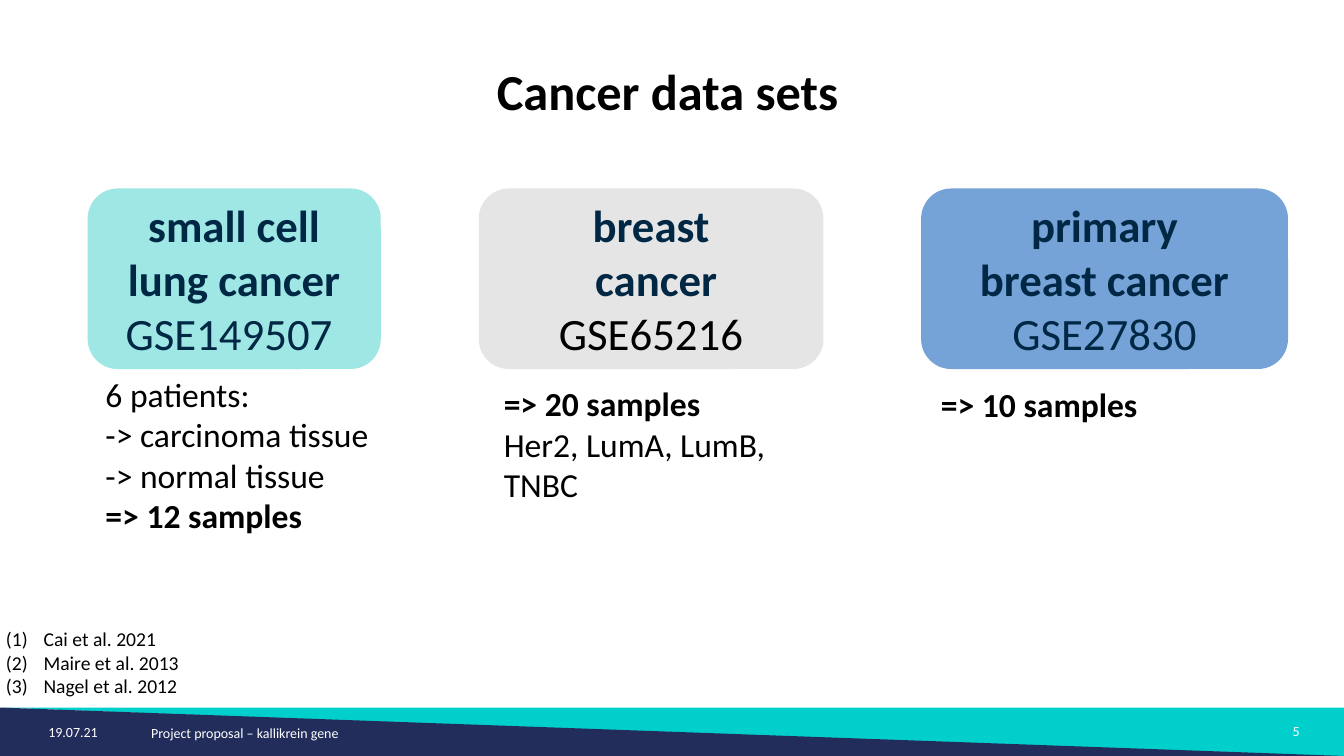
from dataclasses import dataclass

from lxml import etree
from pptx import Presentation
from pptx.dml.color import RGBColor
from pptx.enum.shapes import MSO_SHAPE
from pptx.enum.text import MSO_ANCHOR, PP_ALIGN
from pptx.oxml.ns import qn
from pptx.util import Cm, Pt

ROUNDED = MSO_SHAPE.ROUNDED_RECTANGLE
TRIANGLE = MSO_SHAPE.RIGHT_TRIANGLE
MIDDLE, TOP = MSO_ANCHOR.MIDDLE, MSO_ANCHOR.TOP
LEFT, CENTER = PP_ALIGN.LEFT, PP_ALIGN.CENTER

FONT = "Calibri"
BLACK, WHITE, NAVY, TEAL, INK = "000000", "FFFFFF", "232D5B", "00CFCC", "002845"
CARD_TOP, CARD_HEIGHT = 4.75, 4.55
BAND_TOP, SLIDE_WIDTH, SLIDE_HEIGHT = 17.83, 33.88, 19.05


@dataclass
class Line:
    text: str
    size: float
    color: str = BLACK
    bold: bool = False


@dataclass
class Box:
    left: float
    top: float
    width: float
    height: float

    def lengths(self) -> tuple:
        return Cm(self.left), Cm(self.top), Cm(self.width), Cm(self.height)


@dataclass
class DataSet:
    left: float
    width: float
    fill: str
    heading: list[Line]
    sample_area: Box
    samples: list[Line]


@dataclass
class FooterItem:
    box: Box
    text: str
    align: PP_ALIGN = LEFT


def rgb(color: str) -> RGBColor:
    return RGBColor.from_string(color)


def write(frame, lines: list[Line], align=LEFT, anchor=TOP, inset: float | None = None) -> None:
    frame.word_wrap = True
    frame.vertical_anchor = anchor
    if inset is not None:
        frame.margin_left = frame.margin_right = Cm(inset)
        frame.margin_top = frame.margin_bottom = Cm(inset)
    for index, line in enumerate(lines):
        paragraph = frame.paragraphs[0] if index == 0 else frame.add_paragraph()
        paragraph.alignment = align
        for part_index, part in enumerate(line.text.split("\n")):
            if part_index:
                paragraph.add_line_break()
            run = paragraph.add_run()
            run.text = part
            run.font.name = FONT
            run.font.size = Pt(line.size)
            run.font.bold = line.bold
            run.font.color.rgb = rgb(line.color)


def add_filled(slide, kind, box: Box, fill: str):
    shape = slide.shapes.add_shape(kind, *box.lengths())
    shape.shadow.inherit = False
    shape.fill.solid()
    shape.fill.fore_color.rgb = rgb(fill)
    shape.line.fill.background()
    return shape


def add_text(slide, box: Box, lines: list[Line], align=LEFT, inset: float | None = None):
    frame = slide.shapes.add_textbox(*box.lengths()).text_frame
    write(frame, lines, align, inset=inset)
    return frame


def number_paragraphs(frame, indent: float) -> None:
    for paragraph in frame.paragraphs:
        properties = paragraph._p.get_or_add_pPr()
        properties.set("marL", str(Cm(indent)))
        properties.set("indent", str(-Cm(indent)))
        etree.SubElement(properties, qn("a:buFont")).set("typeface", "+mj-lt")
        etree.SubElement(properties, qn("a:buAutoNum")).set("type", "arabicParenBoth")


def add_data_set(slide, data: DataSet) -> None:
    card = add_filled(slide, ROUNDED, Box(data.left, CARD_TOP, data.width, CARD_HEIGHT), data.fill)
    write(card.text_frame, data.heading, CENTER, MIDDLE, inset=0)
    add_text(slide, data.sample_area, data.samples)


DATA_SETS = [
    DataSet(2.21, 7.39, "9FE7E5",
            [Line("small cell\nlung cancer", 32, INK, True), Line("GSE149507 ", 32, INK)],
            Box(2.41, 9.3, 8.26, 4.5),
            [Line("6 patients:", 24), Line("-> carcinoma tissue", 24),
             Line("-> normal tissue", 24), Line("=> 12 samples", 24, bold=True)]),
    DataSet(12.07, 8.69, "E6E5E5",
            [Line("breast", 32, INK, True), Line(" cancer", 32, INK, True),
             Line("GSE65216", 32)],
            Box(12.45, 9.53, 7.95, 3.5),
            [Line("=> 20 samples", 24, bold=True), Line("Her2, LumA, LumB, TNBC", 24)]),
    DataSet(23.22, 9.25, "75A2D7",
            [Line("primary", 32, INK, True), Line("breast cancer", 32, INK, True),
             Line("GSE27830", 32, INK)],
            Box(23.47, 9.55, 8.26, 1.5),
            [Line("=> 10 samples", 24, bold=True)]),
]
REFERENCES = ["Cai et al. 2021", "Maire et al. 2013", "Nagel et al. 2012"]
FOOTER = [
    FooterItem(Box(0.97, 18.11, 2.59, 0.71), "19.07.21"),
    FooterItem(Box(3.56, 18.14, 9.12, 0.84), "Project proposal – kallikrein gene"),
    FooterItem(Box(32.18, 18.08, 0.99, 0.84), "5", CENTER),
]


def main() -> None:
    deck = Presentation()
    deck.slide_width, deck.slide_height = Cm(SLIDE_WIDTH), Cm(SLIDE_HEIGHT)
    slide = deck.slides.add_slide(deck.slide_layouts[5])

    # Title
    title = slide.shapes.title
    title.left, title.top, title.width, title.height = Box(1.07, 0.94, 31.52, 2.67).lengths()
    write(title.text_frame, [Line("Cancer data sets", 36, bold=True)], CENTER, MIDDLE)

    # Footer band
    teal_wedge = add_filled(slide, TRIANGLE, Box(0.03, BAND_TOP, SLIDE_WIDTH, 1.3), TEAL)
    teal_wedge.rotation = 180
    add_filled(slide, TRIANGLE, Box(0, BAND_TOP, SLIDE_WIDTH, SLIDE_HEIGHT - BAND_TOP), NAVY)
    for item in FOOTER:
        add_text(slide, item.box, [Line(item.text, 10, WHITE)], item.align)

    # Data sets
    for data in DATA_SETS:
        add_data_set(slide, data)

    # References
    references = add_text(slide, Box(0, 15.65, 32.82, 2.1),
                          [Line(text, 14) for text in REFERENCES], inset=0.15)
    number_paragraphs(references, 0.95)

    deck.save("out.pptx")


if __name__ == "__main__":
    main()
